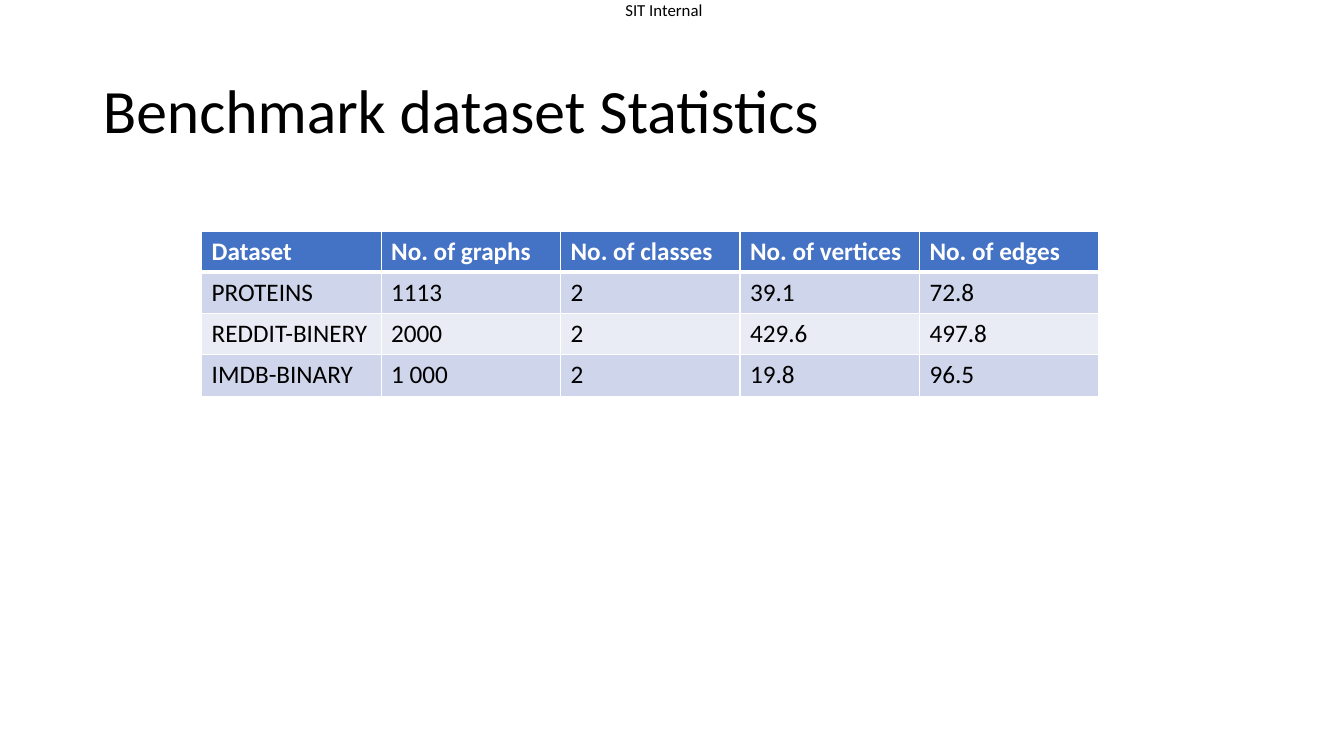
from dataclasses import dataclass

import pptx
import pptx.dml.color
import pptx.enum.text
import pptx.oxml
import pptx.oxml.ns
import pptx.util

PX = 9144  # EMU per px, 100 px to the inch
ALIGN = pptx.enum.text.PP_ALIGN
ANCHOR = pptx.enum.text.MSO_ANCHOR
AUTO_SIZE = pptx.enum.text.MSO_AUTO_SIZE


@dataclass(frozen=True)
class Theme:
    font: str = "Calibri"
    text: str = "000000"
    white: str = "FFFFFF"
    header_fill: str = "4472C4"
    band_fills: tuple[str, str] = ("CFD5EA", "E9EBF5")
    label_size: int = 12
    title_size: int = 44
    table_size: int = 18
    rule: int = 1
    header_rule: int = 3


@dataclass(frozen=True)
class Box:
    left: int
    top: int
    width: int
    height: int

    def emu(self) -> tuple[int, int, int, int]:
        return self.left * PX, self.top * PX, self.width * PX, self.height * PX


@dataclass(frozen=True)
class Dataset:
    name: str
    graphs: str
    classes: str
    vertices: str
    edges: str

    def values(self) -> tuple[str, ...]:
        return self.name, self.graphs, self.classes, self.vertices, self.edges


THEME = Theme()
SLIDE_W, SLIDE_H = 1333, 750
LABEL_BOX = Box(618, 0, 81, 20)
TITLE_BOX = Box(92, 40, 1150, 145)
TABLE_BOX = Box(200, 230, 890, 162)
HEADER_H, ROW_H = 26, 41

HEADINGS = Dataset("Dataset", "No. of graphs", "No. of classes",
                   "No. of vertices", "No. of edges")
DATASETS = [
    Dataset("PROTEINS", "1113", "2", "39.1", "72.8"),
    Dataset("REDDIT-BINERY", "2000", "2", "429.6", "497.8"),
    Dataset("IMDB-BINARY", "1 000", "2", "19.8", "96.5"),
]


def set_attributes(target, values: dict) -> None:
    for name, value in values.items():
        setattr(target, name, value)


def write(tf, text: str, size: int, color: str, bold: bool = False, **paragraph) -> None:
    """Fill a text frame with one formatted run."""
    p = tf.paragraphs[0]
    set_attributes(p, paragraph)
    r = p.add_run()
    r.text = text
    set_attributes(r.font, {"name": THEME.font, "size": pptx.util.Pt(size), "bold": bold})
    r.font.color.rgb = pptx.dml.color.RGBColor.from_string(color)


def add_border(cell, side: str, width: int) -> None:
    tc_pr = cell._tc.get_or_add_tcPr()
    tc_pr.append(pptx.oxml.parse_xml(
        f'<a:ln{side} {pptx.oxml.ns.nsdecls("a")} w="{pptx.util.Pt(width)}">'
        f'<a:solidFill><a:srgbClr val="{THEME.white}"/></a:solidFill></a:ln{side}>'))


def add_label(slide) -> None:
    tf = slide.shapes.add_textbox(*LABEL_BOX.emu()).text_frame
    set_attributes(tf, {"margin_left": 0, "margin_top": 0, "margin_right": 0,
                        "margin_bottom": 0, "word_wrap": True,
                        "auto_size": AUTO_SIZE.SHAPE_TO_FIT_TEXT})
    write(tf, "SIT Internal", THEME.label_size, THEME.text, alignment=ALIGN.CENTER)


def add_title(slide) -> None:
    sp = slide.shapes.title
    set_attributes(sp, dict(zip(("left", "top", "width", "height"), TITLE_BOX.emu())))
    set_attributes(sp.text_frame, {"vertical_anchor": ANCHOR.MIDDLE, "word_wrap": True,
                                   "auto_size": AUTO_SIZE.NONE})
    write(sp.text_frame, "Benchmark dataset Statistics", THEME.title_size, THEME.text,
          alignment=ALIGN.LEFT, line_spacing=0.9)


def add_statistics(slide) -> None:
    rows = [HEADINGS, *DATASETS]
    columns = len(HEADINGS.values())
    table = slide.shapes.add_table(len(rows), columns, *TABLE_BOX.emu()).table
    for column in table.columns:
        column.width = TABLE_BOX.width // columns * PX
    for i, dataset in enumerate(rows):
        header = i == 0
        table.rows[i].height = (HEADER_H if header else ROW_H) * PX
        fill = THEME.header_fill if header else THEME.band_fills[(i - 1) % 2]
        color = THEME.white if header else THEME.text
        # The rule under the header is shared by the first two rows
        rules = {"L": THEME.rule, "R": THEME.rule,
                 "T": THEME.header_rule if i == 1 else THEME.rule,
                 "B": THEME.header_rule if header else THEME.rule}
        for j, value in enumerate(dataset.values()):
            cell = table.cell(i, j)
            for side, width in rules.items():
                add_border(cell, side, width)
            cell.fill.solid()
            cell.fill.fore_color.rgb = pptx.dml.color.RGBColor.from_string(fill)
            write(cell.text_frame, value, THEME.table_size, color, header)


def main() -> None:
    prs = pptx.Presentation()
    set_attributes(prs, {"slide_width": SLIDE_W * PX, "slide_height": SLIDE_H * PX})
    slide = prs.slides.add_slide(prs.slide_layouts.get_by_name("Title Only"))
    add_label(slide)
    add_title(slide)
    add_statistics(slide)
    prs.save("out.pptx")


if __name__ == "__main__":
    main()
